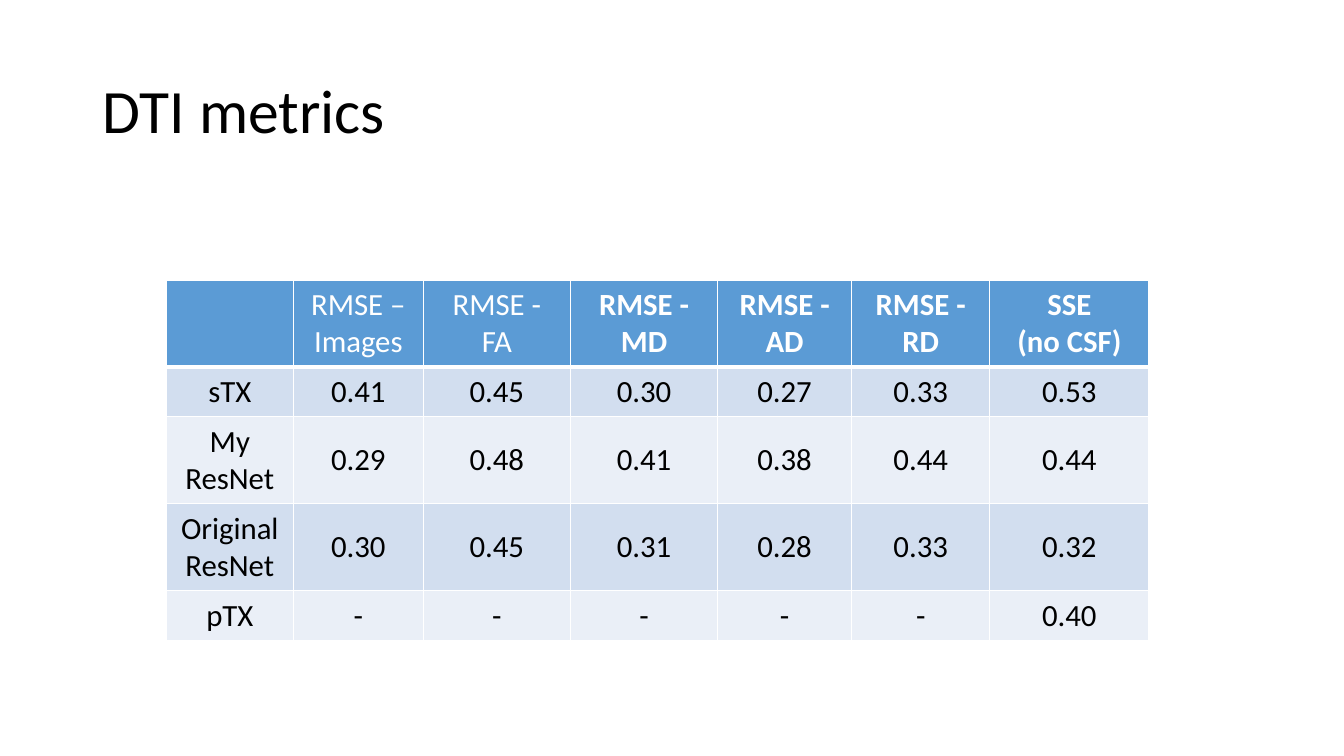
from dataclasses import dataclass

import lxml.etree
import pptx
import pptx.dml.color
import pptx.enum.text
import pptx.oxml.ns
import pptx.slide
import pptx.table
import pptx.text.text
import pptx.util

Pt = pptx.util.Pt
FONT = "Calibri"
COLORS = {
    "head": "5B9BD5",
    "odd": "D2DEEF",
    "even": "EAEFF7",
    "light": "FFFFFF",
    "dark": "000000",
}
WIDTHS = [90.72, 92.88, 105.12, 105.12, 95.76, 98.64, 113.76]
LABELS = ["", "RMSE – Images", "RMSE - FA", "RMSE - MD", "RMSE - AD",
          "RMSE - RD", "SSE\n(no CSF)"]
FIRST_BOLD = 3
SHORT, TALL = 35, 62


@dataclass
class Row:
    texts: list[str]
    height: float
    fill: str
    ink: str = "dark"
    base: float = 1


ROWS = [
    Row(LABELS, TALL, "head", "light", 3),
    Row(["sTX", "0.41", "0.45", "0.30", "0.27", "0.33", "0.53"], SHORT, "odd"),
    Row(["My\nResNet", "0.29", "0.48", "0.41", "0.38", "0.44", "0.44"],
        TALL, "even"),
    Row(["Original\nResNet", "0.30", "0.45", "0.31", "0.28", "0.33", "0.32"],
        TALL, "odd"),
    Row(["pTX"] + ["-"] * 5 + ["0.40"], SHORT, "even"),
]


def tint(name: str) -> pptx.dml.color.RGBColor:
    return pptx.dml.color.RGBColor.from_string(COLORS[name])


def add_run(para: pptx.text.text._Paragraph, text: str, size: float,
            ink: str, bold: bool = False) -> None:
    run = para.add_run()
    run.text = text
    run.font.name = FONT
    run.font.size = Pt(size)
    run.font.bold = bold
    run.font.color.rgb = tint(ink)


def add_edges(cell: pptx.table._Cell, base: float) -> None:
    """Draw white borders; base is the width of the bottom one."""
    props = cell._tc.get_or_add_tcPr()
    qn = pptx.oxml.ns.qn
    for spot, side in enumerate("LRTB"):
        width = base if side == "B" else 1
        line = lxml.etree.Element(qn(f"a:ln{side}"), w=str(Pt(width)))
        solid = lxml.etree.SubElement(line, qn("a:solidFill"))
        lxml.etree.SubElement(solid, qn("a:srgbClr"), val=COLORS["light"])
        props.insert(spot, line)


def fill_cell(cell: pptx.table._Cell, text: str, row: Row, bold: bool) -> None:
    cell.fill.solid()
    cell.fill.fore_color.rgb = tint(row.fill)
    add_edges(cell, row.base)
    cell.vertical_anchor = pptx.enum.text.MSO_ANCHOR.MIDDLE
    cell.margin_left = cell.margin_right = Pt(8.64)
    cell.margin_top = cell.margin_bottom = Pt(4.32)
    frame = cell.text_frame
    for index, part in enumerate(text.split("\n") if text else []):
        para = frame.add_paragraph() if index else frame.paragraphs[0]
        para.alignment = pptx.enum.text.PP_ALIGN.CENTER
        add_run(para, part, 22, row.ink, bold)


def set_title(slide: pptx.slide.Slide, text: str) -> None:
    title = slide.shapes.title
    title.left, title.top = Pt(66), Pt(28.8)
    title.width, title.height = Pt(828), Pt(104.4)
    frame = title.text_frame
    frame.auto_size = pptx.enum.text.MSO_AUTO_SIZE.NONE
    frame.vertical_anchor = pptx.enum.text.MSO_ANCHOR.MIDDLE
    para = frame.paragraphs[0]
    para.alignment = pptx.enum.text.PP_ALIGN.LEFT
    para.line_spacing = 0.9
    add_run(para, text, 44, "dark")


def add_grid(slide: pptx.slide.Slide) -> None:
    height = sum(row.height for row in ROWS)
    table = slide.shapes.add_table(
        len(ROWS), len(WIDTHS), Pt(118.8), Pt(200.16),
        Pt(sum(WIDTHS)), Pt(height)).table
    for col, width in zip(table.columns, WIDTHS):
        col.width = Pt(width)
    for r, row in enumerate(ROWS):
        table.rows[r].height = Pt(row.height)
        for c, text in enumerate(row.texts):
            bold = r == 0 and c >= FIRST_BOLD
            fill_cell(table.cell(r, c), text, row, bold)


def main() -> None:
    deck = pptx.Presentation()
    deck.slide_width, deck.slide_height = Pt(960), Pt(540)
    slide = deck.slides.add_slide(deck.slide_layouts.get_by_name("Title Only"))
    set_title(slide, "DTI metrics")
    add_grid(slide)
    deck.save("out.pptx")


if __name__ == "__main__":
    main()
